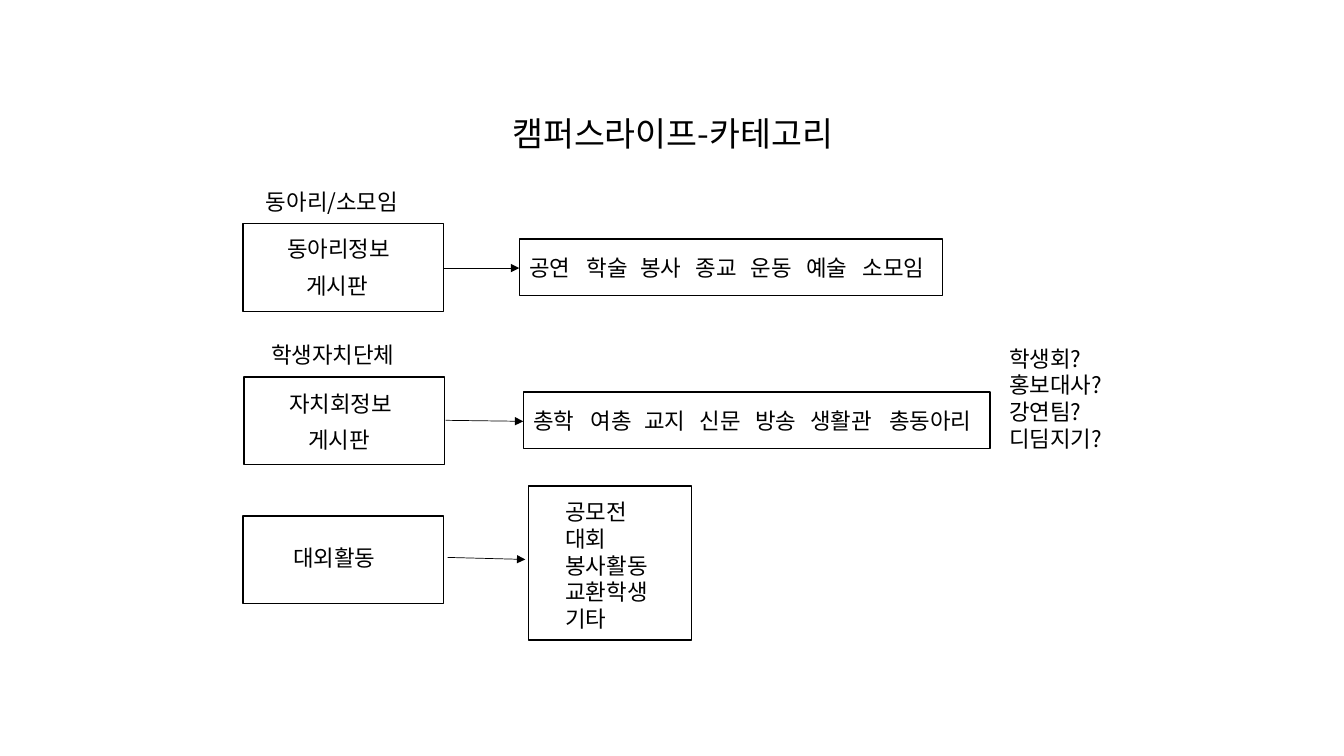
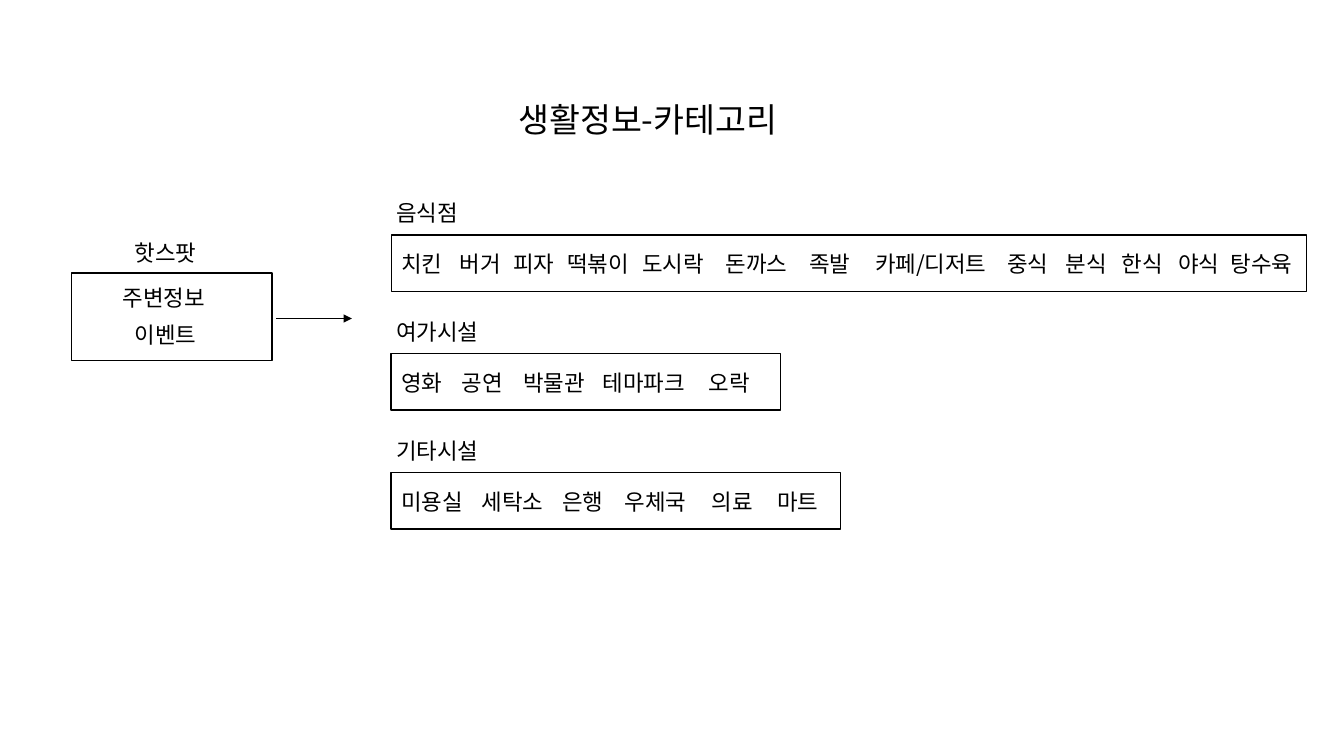
from pptx import Presentation
from pptx.dml.color import RGBColor
from pptx.enum.shapes import MSO_CONNECTOR, MSO_SHAPE
from pptx.enum.text import MSO_ANCHOR, PP_ALIGN
from pptx.oxml.ns import qn
from pptx.util import Inches, Pt
from lxml import etree

RECT, STRAIGHT = MSO_SHAPE.RECTANGLE, MSO_CONNECTOR.STRAIGHT
TOP, LEFT = MSO_ANCHOR.TOP, PP_ALIGN.LEFT

# Shared style; all lengths below are in grid cells of a tenth of an inch
CELL = Inches(0.1)
COLORS = {"ink": "000000", "paper": "FFFFFF"}
FONT = "Noto Sans CJK KR"
TITLE_SIZE, TEXT_SIZE = 24, 16
TEXT_H, SOURCE_W, SOURCE_H, ROW_H = 3.7, 19.9, 8.7, 5.6


def cells(*values):
    return [round(v * CELL) for v in values]


def color(name):
    return RGBColor.from_string(COLORS[name])


def fill_text(tf, lines, size):
    tf.word_wrap = True
    tf.vertical_anchor = TOP
    for i, line in enumerate(lines):
        p = tf.paragraphs[0] if i == 0 else tf.add_paragraph()
        p.alignment = LEFT
        p.line_spacing = 1.0
        p.space_before = Pt(0)
        r = p.add_run()
        r.text = line
        r.font.size = Pt(size)
        r.font.name = FONT
        r.font.color.rgb = color("ink")
        ea = etree.SubElement(r._r.get_or_add_rPr(), qn("a:ea"))
        ea.set("typeface", FONT)


def add_slide(prs, title, x, y):
    s = prs.slides.add_slide(prs.slide_layouts[5])
    s.background.fill.solid()
    s.background.fill.fore_color.rgb = color("paper")
    sp = s.shapes.title
    sp.left, sp.top, sp.width, sp.height = cells(x, y, 38.3, 5)
    fill_text(sp.text_frame, [title], TITLE_SIZE)
    return s


def add_text(s, x, y, *lines):
    width = 2.2 * max(map(len, lines)) + 3
    height = 1 + 2.7 * len(lines)
    sp = s.shapes.add_textbox(*cells(x, y, width, height))
    fill_text(sp.text_frame, lines, TEXT_SIZE)


def add_box(s, x, y, w, h):
    sp = s.shapes.add_shape(RECT, *cells(x, y, w, h))
    sp.shadow.inherit = False
    sp.fill.background()
    sp.line.color.rgb = color("ink")
    sp.line.width = Pt(1)


def add_arrow(s, x1, y1, x2, y2):
    line = s.shapes.add_connector(STRAIGHT, *cells(x1, y1, x2, y2))
    line.line.color.rgb = color("ink")
    line.line.width = Pt(0.5)
    ln = line.line._get_or_add_ln()
    etree.SubElement(ln, qn("a:tailEnd")).set("type", "triangle")
    etree.SubElement(line._element.spPr, qn("a:effectLst"))


def add_source(s, x, y, texts):
    """Board box; each text is placed by its offset from the box corner."""
    add_box(s, x, y, SOURCE_W, SOURCE_H)
    for text, dx, dy in texts:
        add_text(s, x + dx, y + dy, text)


def add_row(s, x, y, w, names, offsets, heading=None):
    """Long box of category names, with an optional heading above it."""
    add_box(s, x, y, w, ROW_H)
    for name, dx in zip(names.split(), offsets):
        add_text(s, x + dx, y + (ROW_H - TEXT_H) / 2 + 0.1, name)
    if heading:
        add_text(s, x - 0.5, y - 4, heading)


def campus_slide(prs):
    s = add_slide(prs, "캠퍼스라이프-카테고리", 49.8, 10.7)

    # Clubs
    add_source(s, 24.1, 22.2, [("동아리/소모임", 1.3, -4),
                               ("동아리정보", 3.4, 0.6), ("게시판", 5.3, 4.3)])
    add_arrow(s, 44, 26.6, 51.5, 26.6)
    offsets = [0, 5.7, 11, 16.5, 22, 27.5]
    add_row(s, 51.5, 23.7, 42, "공연 학술 봉사 종교 운동 예술 소모임",
            offsets + [33.1])

    # Student bodies
    add_source(s, 24.2, 37.4, [("학생자치단체", 1.7, -4),
                               ("자치회정보", 3.5, 0.8), ("게시판", 5.4, 4.4)])
    add_arrow(s, 44.2, 41.7, 51.9, 41.8)
    add_row(s, 51.9, 38.9, 46.3, "총학 여총 교지 신문 방송 생활관 총동아리",
            offsets + [35.3])
    add_text(s, 99.1, 33.7, "학생회?", "홍보대사?", "강연팀?", "디딤지기?")

    # Outside activities
    add_source(s, 24.1, 51.2, [("대외활동", 4, 2.3)])
    add_arrow(s, 44.4, 55.3, 52.1, 55.5)
    add_box(s, 52.4, 48.2, 16.2, 15.3)
    add_text(s, 55.1, 48.9, "공모전", "대회", "봉사활동", "교환학생", "기타")


def living_slide(prs):
    s = add_slide(prs, "생활정보-카테고리", 50.4, 9.3)

    # Hot spots
    add_source(s, 7.1, 27.1, [("핫스팟", 5.3, -3.9),
                              ("주변정보", 4.1, 0.6), ("이벤트", 5.3, 4.3)])
    add_arrow(s, 27.4, 31.6, 34.9, 31.6)

    # Facilities, one row each at an equal pitch
    rows = [
        ("음식점", 90.8,
         "치킨 버거 피자 떡볶이 도시락 돈까스 족발 카페/디저트 중식 분식 한식 야식 탕수육",
         [0, 5.8, 11.1, 16.5, 23.9, 32.2, 40.5, 47, 60.1, 65.9, 71.5, 77.1, 82.3]),
        ("여가시설", 38.6, "영화 공연 박물관 테마파크 오락",
         [0, 6, 12.1, 20, 30.5]),
        ("기타시설", 44.6, "미용실 세탁소 은행 우체국 의료 마트",
         [0, 8, 16, 22.2, 30.8, 37.3]),
    ]
    for i, (heading, w, names, offsets) in enumerate(rows):
        add_row(s, 38.8, 23.3 + 11.8 * i, w, names, offsets, heading)


def main():
    prs = Presentation()
    prs.slide_width, prs.slide_height = Inches(13.33), Inches(7.5)
    campus_slide(prs)
    living_slide(prs)
    prs.save("out.pptx")


main()
